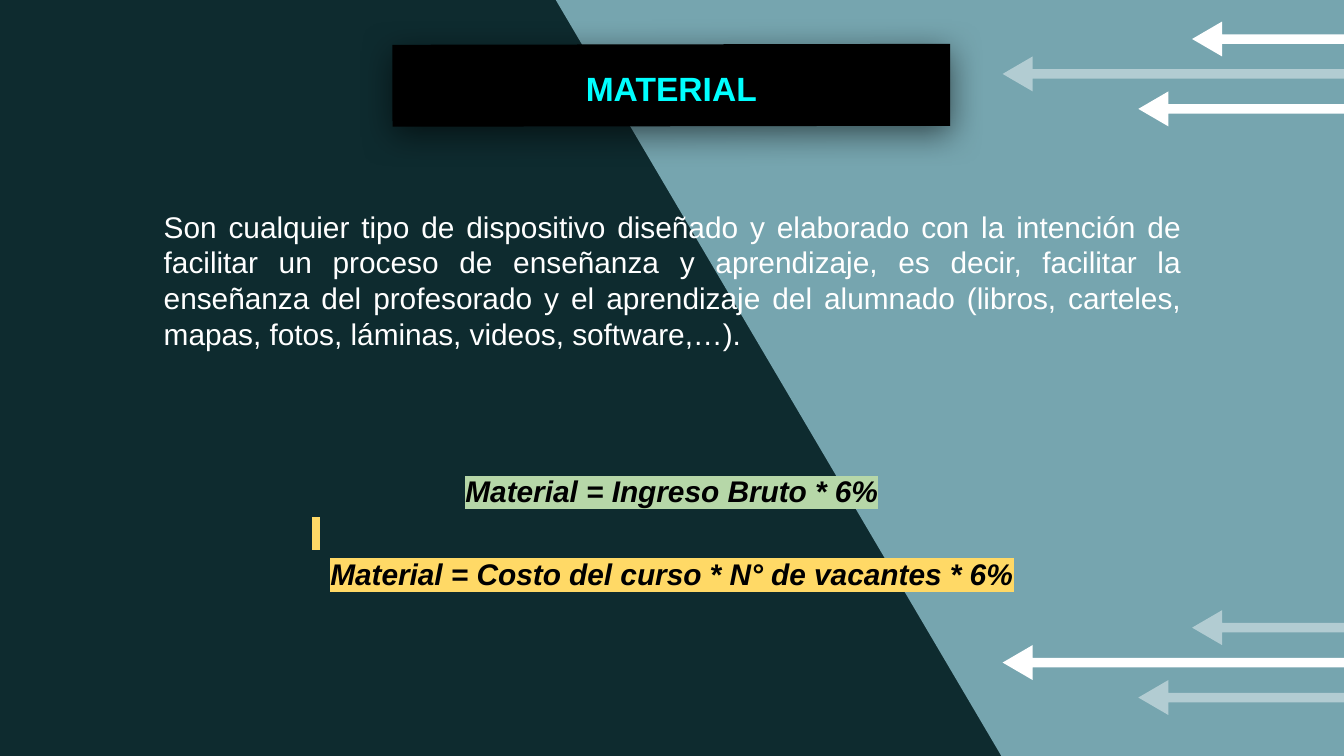
"""Build the slide that defines teaching material and its cost formulas."""
from dataclasses import dataclass
from typing import Optional

from lxml import etree
from pptx import Presentation
from pptx.dml.color import RGBColor
from pptx.enum.shapes import MSO_SHAPE
from pptx.enum.text import MSO_ANCHOR, MSO_AUTO_SIZE, PP_ALIGN
from pptx.oxml import parse_xml
from pptx.oxml.ns import nsdecls, qn
from pptx.util import Inches, Pt

UP_ARROW = MSO_SHAPE.UP_ARROW
TOP, MIDDLE = MSO_ANCHOR.TOP, MSO_ANCHOR.MIDDLE
LEFT, CENTER, JUSTIFY = PP_ALIGN.LEFT, PP_ALIGN.CENTER, PP_ALIGN.JUSTIFY
NO_AUTOFIT = MSO_AUTO_SIZE.NONE

DARK_TEAL = RGBColor(0x0E, 0x2B, 0x2F)
LIGHT_TEAL = RGBColor(0x76, 0xA5, 0xAF)
WHITE = RGBColor(0xFF, 0xFF, 0xFF)
BLACK = RGBColor(0x00, 0x00, 0x00)
CYAN = RGBColor(0x00, 0xFF, 0xFF)
GREEN = RGBColor(0xB6, 0xD7, 0xA8)
YELLOW = RGBColor(0xFF, 0xD9, 0x66)

SLIDE_WIDTH = 10
SLIDE_HEIGHT = SLIDE_WIDTH * 9 / 16
ARROW_THICKNESS = 0.26
FADED_ALPHA = 44000
DEFINITION = (
    "Son cualquier tipo de dispositivo diseñado y elaborado con la intención de "
    "facilitar un proceso de enseñanza y aprendizaje, es decir, facilitar la "
    "enseñanza del profesorado y el aprendizaje del alumnado (libros, carteles, "
    "mapas, fotos, láminas, videos, software,…)."
)


@dataclass(frozen=True)
class Arrow:
    """An arrow that enters from the right edge."""
    length: float
    offset: float
    faded_at_top: bool


@dataclass(frozen=True)
class Formula:
    """One highlighted line of the formula box."""
    text: str
    highlight: RGBColor
    align: PP_ALIGN = CENTER


ARROWS = (
    Arrow(2.55, 0, True),
    Arrow(1.14, -0.26, False),
    Arrow(1.54, 0.26, False),
)
TOP_CENTER, BOTTOM_CENTER = 0.55, 4.93
FORMULAS = (
    Formula("Material = Ingreso Bruto * 6%", GREEN),
    Formula(" ", YELLOW, LEFT),
    Formula("Material = Costo del curso * N° de vacantes * 6%", YELLOW),
)


def paint(shape, color: RGBColor) -> None:
    """Give a shape a plain fill without line or shadow."""
    shape.shadow.inherit = False
    shape.fill.solid()
    shape.fill.fore_color.rgb = color
    shape.line.fill.background()


def write(paragraph, text: str, *, size: float = 16, color: RGBColor = WHITE,
          bold: bool = False, italic: bool = False, align: PP_ALIGN = LEFT,
          spacing: float = 1.0, highlight: Optional[RGBColor] = None) -> None:
    """Add a formatted run to a paragraph."""
    paragraph.alignment = align
    paragraph.line_spacing = spacing
    run = paragraph.add_run()
    run.text = text
    font = run.font
    font.name, font.size, font.bold, font.italic = "Arial", Pt(size), bold, italic
    font.color.rgb = color
    if highlight is not None:
        fill = run._r.get_or_add_rPr().find(qn("a:solidFill"))
        fill.addnext(parse_xml(
            f'<a:highlight {nsdecls("a")}><a:srgbClr val="{highlight}"/></a:highlight>'))


def add_text_box(slide, left: float, top: float, width: float, height: float,
                 anchor: MSO_ANCHOR):
    """Add a wrapping text box and return its text frame."""
    box = slide.shapes.add_textbox(
        Inches(left), Inches(top), Inches(width), Inches(height))
    frame = box.text_frame
    frame.word_wrap = True
    frame.vertical_anchor = anchor
    frame.margin_top = frame.margin_bottom = Inches(0.1)
    return frame


def add_backdrop(slide) -> None:
    """Add the slanted panel on the right."""
    builder = slide.shapes.build_freeform(Inches(10), Inches(5.64))
    corners = ((10, -0.01), (4.13, -0.01), (7.46, 5.64))
    builder.add_line_segments([(Inches(x), Inches(y)) for x, y in corners], close=True)
    paint(builder.convert_to_shape(), LIGHT_TEAL)


def add_arrow(slide, arrow: Arrow, center: float, faded: bool) -> None:
    """Add an arrow turned to point left from the right edge."""
    middle_x = SLIDE_WIDTH - arrow.length / 2 + 0.01
    middle_y = center + arrow.offset
    shape = slide.shapes.add_shape(
        UP_ARROW, Inches(middle_x - ARROW_THICKNESS / 2),
        Inches(middle_y - arrow.length / 2),
        Inches(ARROW_THICKNESS), Inches(arrow.length))
    shape.rotation = 270
    shape.adjustments[0], shape.adjustments[1] = 0.27, 0.86
    paint(shape, WHITE)
    if faded:
        color = shape._element.spPr.find(qn("a:solidFill")).find(qn("a:srgbClr"))
        etree.SubElement(color, qn("a:alpha"), val=str(FADED_ALPHA))


def format_title(slide) -> None:
    """Move the title to the front and style it as a shadowed banner."""
    title = slide.shapes.title
    slide.shapes._spTree.append(title._element)
    title.left, title.top = Inches(2.92), Inches(0.33)
    title.width, title.height = Inches(4.15), Inches(0.61)
    title.rotation = 359.9
    paint(title, BLACK)
    effects = title._element.spPr.find(qn("a:effectLst"))
    effects.append(parse_xml(
        f'<a:outerShdw {nsdecls("a")} blurRad="{Pt(18)}" dist="{Pt(4)}" dir="5400000" '
        'algn="ctr" rotWithShape="0"><a:srgbClr val="000000">'
        '<a:alpha val="55000"/></a:srgbClr></a:outerShdw>'))
    frame = title.text_frame
    frame.auto_size = NO_AUTOFIT
    frame.vertical_anchor = MIDDLE
    write(frame.paragraphs[0], "MATERIAL", size=18, color=CYAN, bold=True,
          align=CENTER, spacing=1.15)


def main() -> None:
    """Create the presentation and save it."""
    presentation = Presentation()
    presentation.slide_width = Inches(SLIDE_WIDTH)
    presentation.slide_height = Inches(SLIDE_HEIGHT)
    slide = presentation.slides.add_slide(presentation.slide_layouts[5])
    slide.background.fill.solid()
    slide.background.fill.fore_color.rgb = DARK_TEAL

    add_backdrop(slide)
    for arrow in ARROWS:
        add_arrow(slide, arrow, BOTTOM_CENTER, not arrow.faded_at_top)
        add_arrow(slide, arrow, TOP_CENTER, arrow.faded_at_top)
    format_title(slide)

    definition = add_text_box(slide, 1.12, 1.45, 7.77, 1.62, TOP)
    write(definition.paragraphs[0], DEFINITION, align=JUSTIFY)

    formulas = add_text_box(slide, 2.22, 3.29, 5.56, 1.3, MIDDLE)
    for index, formula in enumerate(FORMULAS):
        paragraph = formulas.add_paragraph() if index else formulas.paragraphs[0]
        write(paragraph, formula.text, color=BLACK, bold=True, italic=True,
              align=formula.align, spacing=1.15, highlight=formula.highlight)
    presentation.save("out.pptx")


if __name__ == "__main__":
    main()
